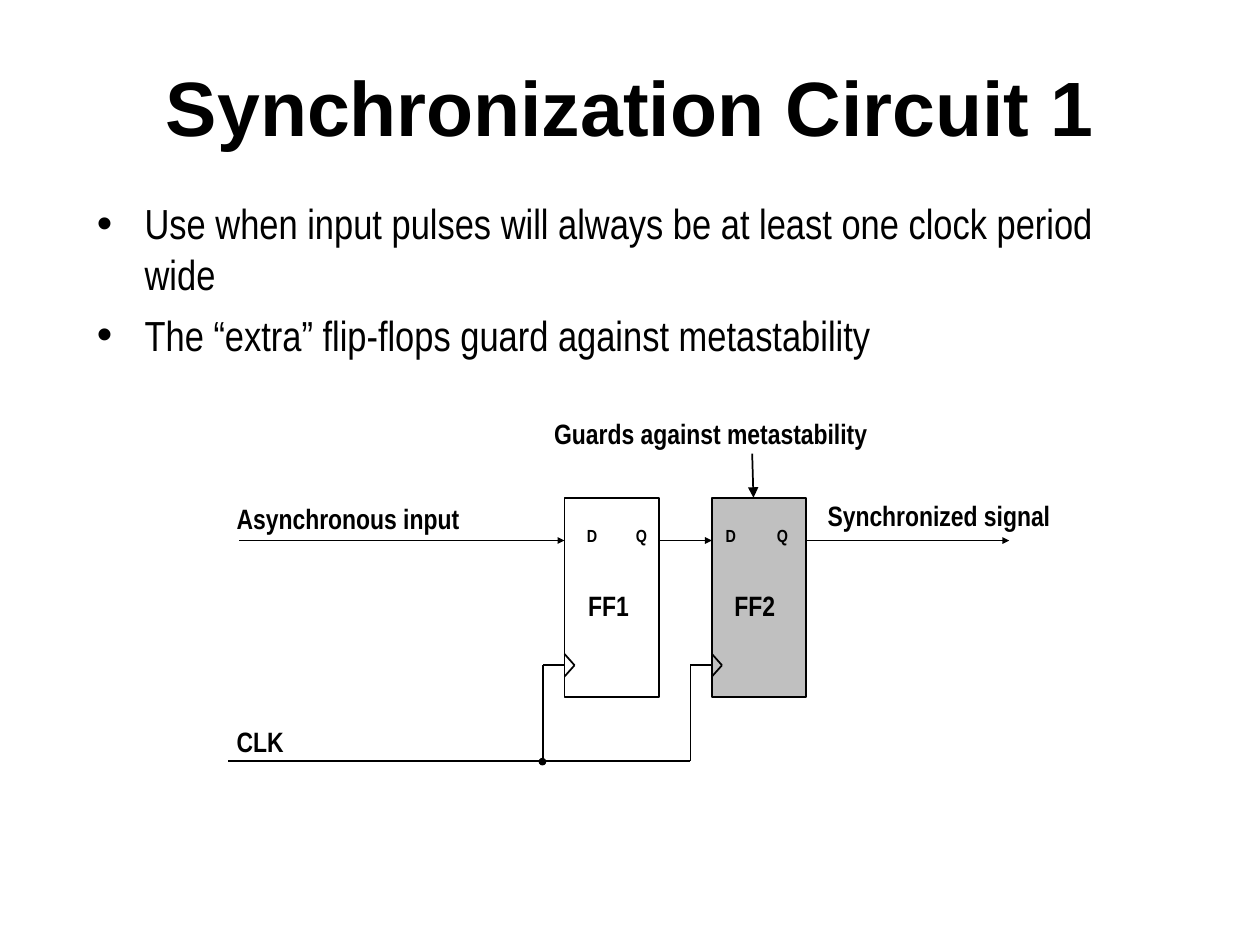
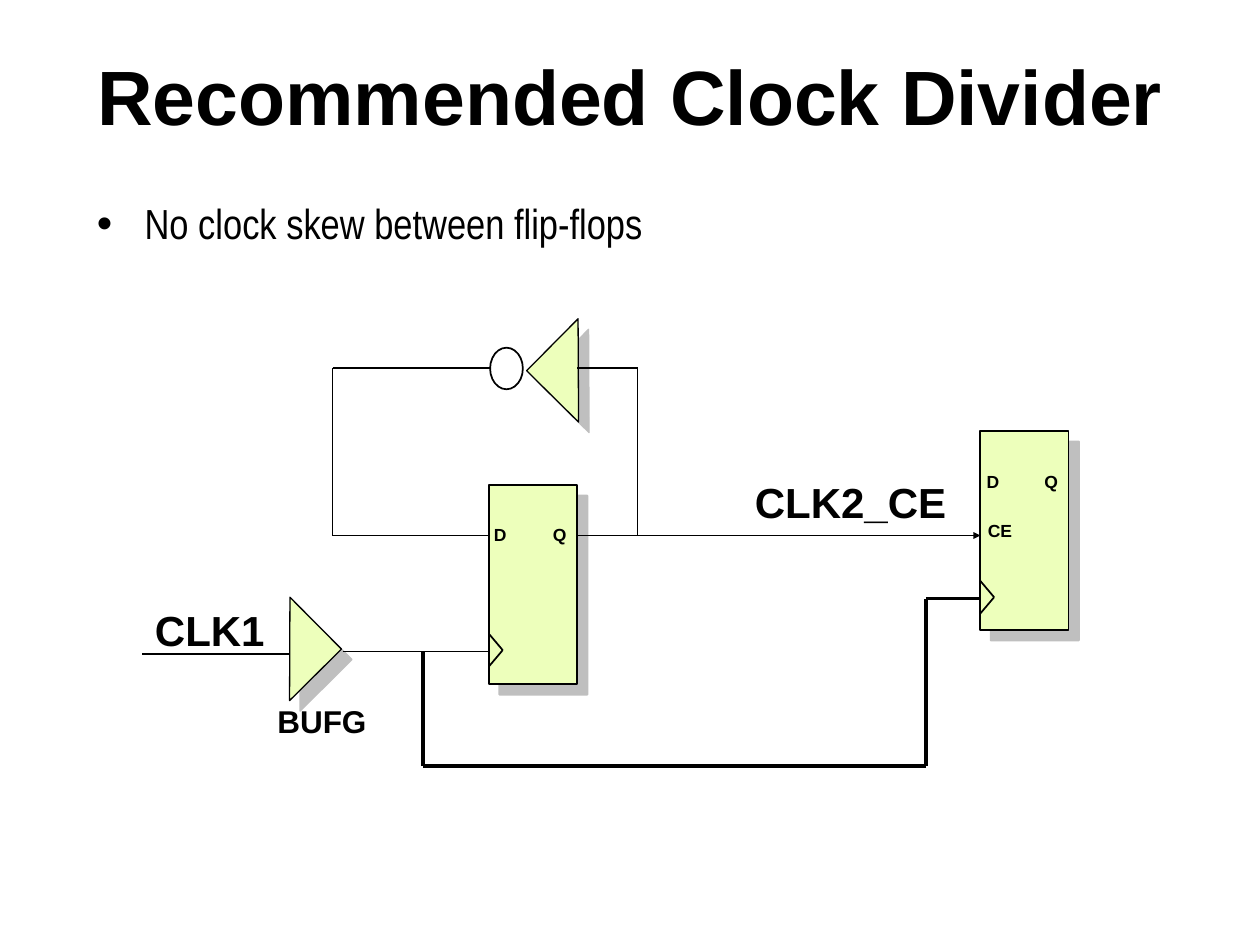
import pptx
import pptx.util
import pptx.dml.color
import pptx.enum.shapes
import pptx.enum.text
import pptx.oxml.ns
import lxml.etree

Inches = pptx.util.Inches
Pt = pptx.util.Pt
Kind = pptx.enum.shapes.MSO_SHAPE
Align = pptx.enum.text.PP_ALIGN
qn = pptx.oxml.ns.qn
sub = lxml.etree.SubElement

hues = {"ink": "000000", "white": "FFFFFF", "gray": "C0C0C0", "lime": "EDFFBB", "shade": "808080"}
rgb = {name: pptx.dml.color.RGBColor.from_string(code) for name, code in hues.items()}


def write(slide, spot, lines, size, font, bold=True, align=Align.CENTER, wrap=False, mid=False, dots=False):
    box = slide.shapes.add_textbox(*map(Inches, spot))
    frame = box.text_frame
    frame.word_wrap = wrap
    if mid:
        frame.vertical_anchor = pptx.enum.text.MSO_ANCHOR.MIDDLE
    for i, line in enumerate(lines):
        para = frame.paragraphs[0] if i == 0 else frame.add_paragraph()
        para.alignment = align
        if i > 0:
            para.space_before = Pt(6)
        if dots:
            props = para._p.get_or_add_pPr()
            props.set("marL", str(Inches(0.38)))
            props.set("indent", str(Inches(-0.38)))
            sub(sub(props, qn("a:buClr")), qn("a:srgbClr"), val=hues["ink"])
            sub(props, qn("a:buSzPct"), val="105000")
            sub(props, qn("a:buFont"), typeface="Arial")
            sub(props, qn("a:buChar"), char="•")
        run = para.add_run()
        run.text = line
        run.font.size = Pt(size)
        run.font.name = font
        run.font.bold = bold
        run.font.color.rgb = rgb["ink"]


def wire(slide, points, width=1, head=None):
    for start, end in zip(points, points[1:]):
        line = slide.shapes.add_connector(
            pptx.enum.shapes.MSO_CONNECTOR.STRAIGHT, *map(Inches, start + end))
        line.line.color.rgb = rgb["ink"]
        line.line.width = Pt(width)
        sub(line._element.spPr, qn("a:effectLst"))
    if head:
        sub(line.line._get_or_add_ln(), qn("a:tailEnd"), type="triangle", w=head, len=head)


deck = pptx.Presentation()
deck.slide_width = Inches(10)
deck.slide_height = Inches(7.5)

pages = [
    ("Synchronization Circuit 1", 1.25, 1.5,
     ["Use when input pulses will always be at least one clock period wide",
      "The “extra” flip-flops guard against metastability"]),
    ("Recommended Clock Divider", 1.08, 0.79,
     ["No clock skew between flip-flops"]),
]
slides = []
for title, high, deep, points in pages:
    slide = deck.slides.add_slide(deck.slide_layouts[6])
    write(slide, (0.67, 0.21, 8.67, high), [title], 44, "Arial", wrap=True, mid=True)
    write(slide, (0.67, 1.52, 8.67, deep), points, 24, "Arial Narrow",
          bold=False, align=Align.LEFT, wrap=True, dots=True)
    slides.append(slide)
sync, clock = slides

parts = [
    (sync, Kind.RECTANGLE, (4.48, 3.95, 0.75, 1.58), "white", 1, 0, False),
    (sync, Kind.RECTANGLE, (5.65, 3.95, 0.75, 1.58), "gray", 1, 0, False),
    (sync, Kind.OVAL, (4.28, 6.02, 0.05, 0.05), "ink", 0.75, 0, False),
    (clock, Kind.RECTANGLE, (3.88, 3.85, 0.7, 1.58), "lime", 1, 0, True),
    (clock, Kind.RECTANGLE, (7.78, 3.42, 0.7, 1.58), "lime", 1, 0, True),
    (clock, Kind.OVAL, (3.89, 2.76, 0.26, 0.33), "white", 1, 0, False),
    (clock, Kind.RIGHT_TRIANGLE, (4.3, 2.65, 0.58, 0.58), "lime", 0.75, 44.7, True),
    (clock, Kind.RIGHT_TRIANGLE, (2.01, 4.86, 0.58, 0.58), "lime", 0.75, 225.2, True),
]
for slide, kind, spot, fill, width, turn, cast in parts:
    part = slide.shapes.add_shape(kind, *map(Inches, spot))
    part.rotation = turn
    part.fill.solid()
    part.fill.fore_color.rgb = rgb[fill]
    part.line.color.rgb = rgb["ink"]
    part.line.width = Pt(width)
    part.shadow.inherit = False
    if cast:
        glow = sub(part._element.spPr.find(qn("a:effectLst")), qn("a:outerShdw"),
                   dist=str(Pt(8.5)), dir="2700000", algn="ctr", rotWithShape="0")
        sub(sub(glow, qn("a:srgbClr"), val=hues["shade"]), qn("a:alpha"), val="50000")

wires = [
    (sync, [(1.9, 4.29), (4.48, 4.29)], 1, "sm"),
    (sync, [(5.23, 4.29), (5.65, 4.29)], 1, "sm"),
    (sync, [(6.39, 4.29), (8.01, 4.29)], 1, "sm"),
    (sync, [(5.97, 3.6), (5.98, 3.95)], 1, "med"),
    (sync, [(1.81, 6.04), (5.48, 6.04), (5.48, 5.28), (5.65, 5.28)], 1, None),
    (sync, [(4.31, 6.04), (4.31, 5.28), (4.48, 5.28)], 1, None),
    (clock, [(3.89, 4.25), (2.64, 4.25), (2.64, 2.92), (3.89, 2.92)], 1, None),
    (clock, [(4.58, 2.92), (5.06, 2.92), (5.06, 4.25)], 1, None),
    (clock, [(4.59, 4.25), (7.78, 4.25)], 1, "sm"),
    (clock, [(1.13, 5.19), (2.3, 5.19)], 1, None),
    (clock, [(2.72, 5.17), (3.89, 5.17)], 1, None),
    (clock, [(3.36, 5.17), (3.36, 6.08), (7.35, 6.08), (7.35, 4.75), (7.77, 4.75)], 2.25, None),
]
for slide, points, width, head in wires:
    wire(slide, points, width, head)

for slide, x, y, wide, half in [
    (sync, 4.48, 5.28, 0.08, 0.09),
    (sync, 5.65, 5.28, 0.08, 0.09),
    (clock, 3.88, 5.16, 0.11, 0.13),
    (clock, 7.78, 4.74, 0.11, 0.13),
]:
    wire(slide, [(x, y - half), (x + wide, y), (x, y + half)])

for x, y, w, text in [
    (1.78, 3.93, 1.97, "Asynchronous input"),
    (1.78, 5.7, 0.57, "CLK"),
    (6.47, 3.91, 1.97, "Synchronized signal"),
    (4.3, 3.26, 2.69, "Guards against metastability"),
    (4.57, 4.62, 0.52, "FF1"),
    (5.73, 4.62, 0.52, "FF2"),
]:
    write(sync, (x, y, w, 0.37), [text], 16, "Arial Narrow", align=Align.LEFT)

for x, text in [(4.55, "D"), (4.94, "Q"), (5.65, "D"), (6.06, "Q")]:
    write(sync, (x, 4.12, 0.3, 0.27), [text], 10, "Arial Narrow")

for x, y, w, h, text, size in [
    (3.82, 4.11, 0.3, 0.27, "D", 10),
    (4.29, 4.11, 0.3, 0.27, "Q", 10),
    (7.73, 3.69, 0.3, 0.27, "D", 10),
    (8.19, 3.69, 0.3, 0.27, "Q", 10),
    (7.74, 4.08, 0.39, 0.27, "CE", 10),
    (5.89, 3.73, 1.72, 0.5, "CLK2_CE", 24),
    (1.13, 4.75, 1.07, 0.5, "CLK1", 24),
    (2.1, 5.52, 0.91, 0.4, "BUFG", 18),
]:
    write(clock, (x, y, w, h), [text], size, "Arial")

deck.save("out.pptx")
